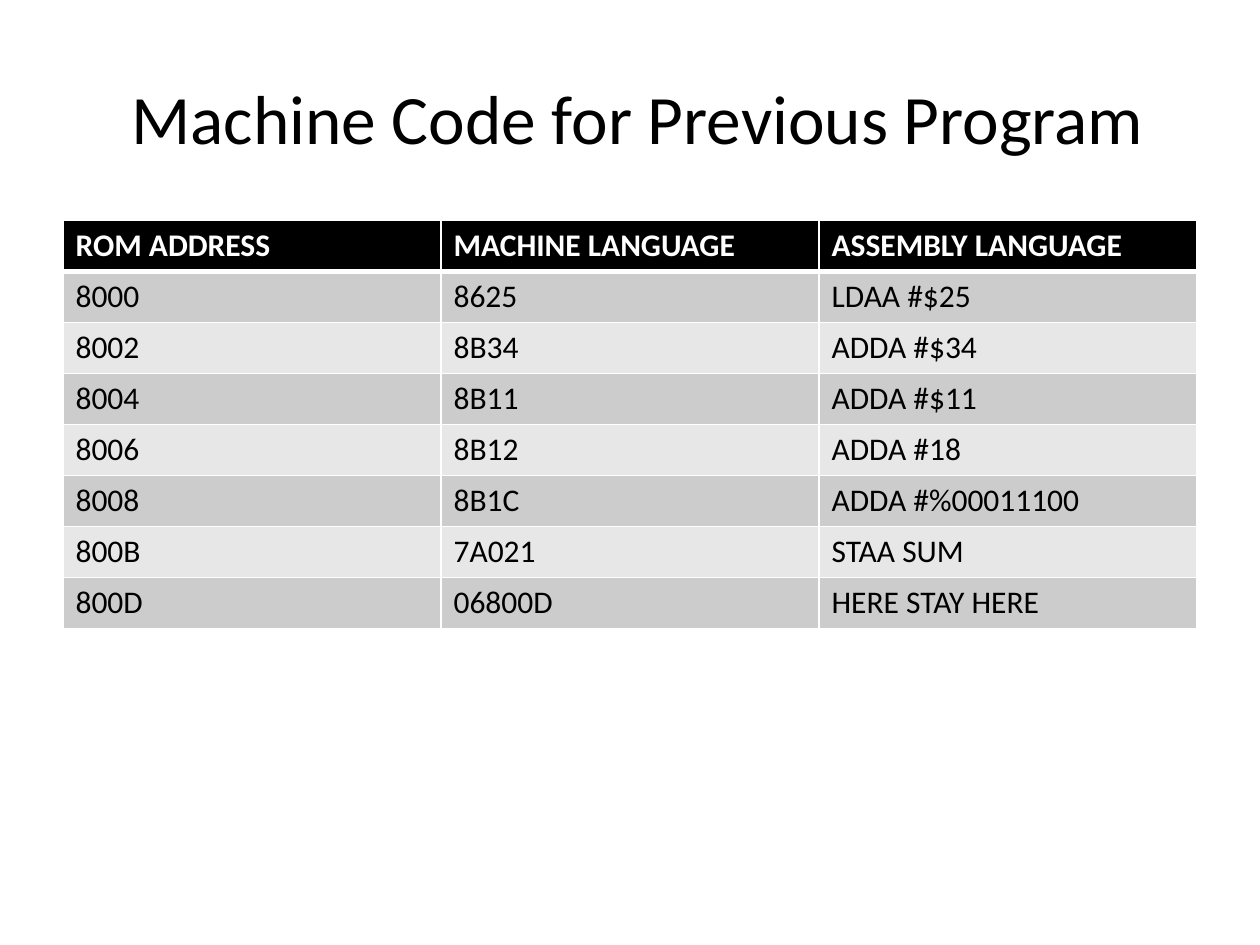
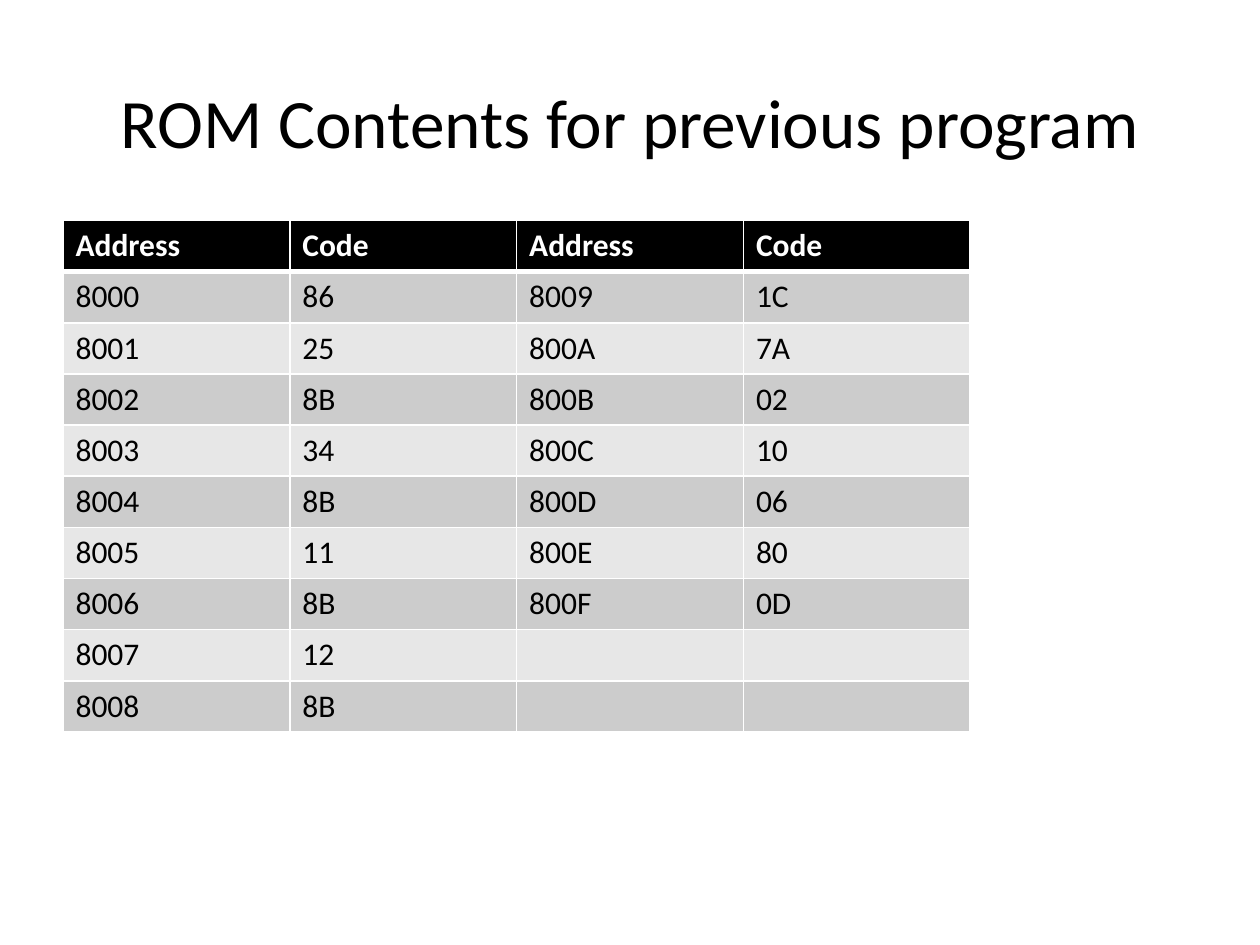
from dataclasses import dataclass
from itertools import zip_longest

from lxml.etree import SubElement
from pptx import Presentation
from pptx.dml.color import RGBColor
from pptx.enum.text import MSO_ANCHOR as Anchor, PP_ALIGN as Align
from pptx.oxml.ns import qn
from pptx.slide import Slide
from pptx.table import _Cell as Cell
from pptx.text.text import Font
from pptx.util import Inches, Pt


# Theme
@dataclass(frozen=True)
class Theme:
    font: str = "Calibri"
    title_size: float = 39.6
    table_size: float = 18
    dark: str = "000000"
    light: str = "FFFFFF"
    bands: tuple[str, str] = ("CCCCCC", "E7E7E7")
    rule_width: float = 1
    header_rule_width: float = 3


@dataclass(frozen=True)
class TablePage:
    title: str
    title_top: float
    table_width: float
    table_height: float
    header: list[str]
    rows: list[list[str]]


THEME = Theme()
LEFT, TITLE_WIDTH, TITLE_HEIGHT, TABLE_TOP = 0.5, 9, 1.25, 1.75


# Drawing
def style_font(font: Font, size: float, color: str, bold: bool = False) -> None:
    values = {"name": THEME.font, "size": Pt(size), "bold": bold}
    for name, value in values.items():
        setattr(font, name, value)
    font.color.rgb = RGBColor.from_string(color)


def add_title(page: Slide, text: str, top: float) -> None:
    box = page.shapes.add_textbox(
        Inches(LEFT), Inches(top), Inches(TITLE_WIDTH), Inches(TITLE_HEIGHT))
    frame = box.text_frame
    for name, value in {"word_wrap": True, "vertical_anchor": Anchor.MIDDLE}.items():
        setattr(frame, name, value)
    para = frame.paragraphs[0]
    para.alignment = Align.CENTER
    span = para.add_run()
    span.text = text
    style_font(span.font, THEME.title_size, THEME.dark)


def add_borders(cell: Cell, row: int) -> None:
    """Thin rules all round, with a thick one between header and body."""
    thick_edge = {0: "lnB", 1: "lnT"}.get(row)
    properties = cell._tc.get_or_add_tcPr()
    for edge in ("lnL", "lnR", "lnT", "lnB"):
        width = THEME.header_rule_width if edge == thick_edge else THEME.rule_width
        line = SubElement(properties, qn(f"a:{edge}"), w=str(Pt(width)))
        fill = SubElement(line, qn("a:solidFill"))
        SubElement(fill, qn("a:srgbClr"), val=THEME.light)


def fill_cell(cell: Cell, text: str, row: int) -> None:
    is_header = row == 0
    add_borders(cell, row)
    cell.fill.solid()
    color = THEME.dark if is_header else THEME.bands[(row - 1) % 2]
    cell.fill.fore_color.rgb = RGBColor.from_string(color)
    para = cell.text_frame.paragraphs[0]
    if text:
        para.add_run().text = text
    style_font(para.runs[0].font if text else para.font, THEME.table_size,
               THEME.light if is_header else THEME.dark, is_header)


def add_grid(page: Slide, content: TablePage) -> None:
    rows = [content.header, *content.rows]
    table = page.shapes.add_table(
        len(rows), len(content.header), Inches(LEFT), Inches(TABLE_TOP),
        Inches(content.table_width), Inches(content.table_height)).table
    for row, texts in enumerate(rows):
        for column, text in enumerate(texts):
            fill_cell(table.cell(row, column), text, row)


# Content
PROGRAM = [
    ["8000", "8625", "LDAA #$25"],
    ["8002", "8B34", "ADDA #$34"],
    ["8004", "8B11", "ADDA #$11"],
    ["8006", "8B12", "ADDA #18"],
    ["8008", "8B1C", "ADDA #%00011100"],
    ["800B", "7A021", "STAA SUM"],
    ["800D", "06800D", "HERE STAY HERE"],
]

# ROM bytes at consecutive addresses, shown in two side-by-side halves
ROM_START, FIRST_HALF = 0x8000, 9
ROM_CODES = "86 25 8B 34 8B 11 8B 12 8B 1C 7A 02 10 06 80 0D".split()
ROM = [[f"{address:X}", code] for address, code in enumerate(ROM_CODES, ROM_START)]
ROM_ROWS = [left + right for left, right in zip_longest(
    ROM[:FIRST_HALF], ROM[FIRST_HALF:], fillvalue=["", ""])]

PAGES = [
    TablePage(" Machine Code for Previous Program", 0.3, 9, 3.24,
              ["ROM ADDRESS", "MACHINE LANGUAGE", "ASSEMBLY LANGUAGE"], PROGRAM),
    TablePage("ROM Contents for previous program", 0.33, 7.2, 4.06,
              ["Address", "Code"] * 2, ROM_ROWS),
]

# Build
deck = Presentation()
deck.slide_width, deck.slide_height = Inches(10), Inches(7.5)
for content in PAGES:
    page = deck.slides.add_slide(deck.slide_layouts[6])
    add_title(page, content.title, content.title_top)
    add_grid(page, content)
deck.save("out.pptx")
